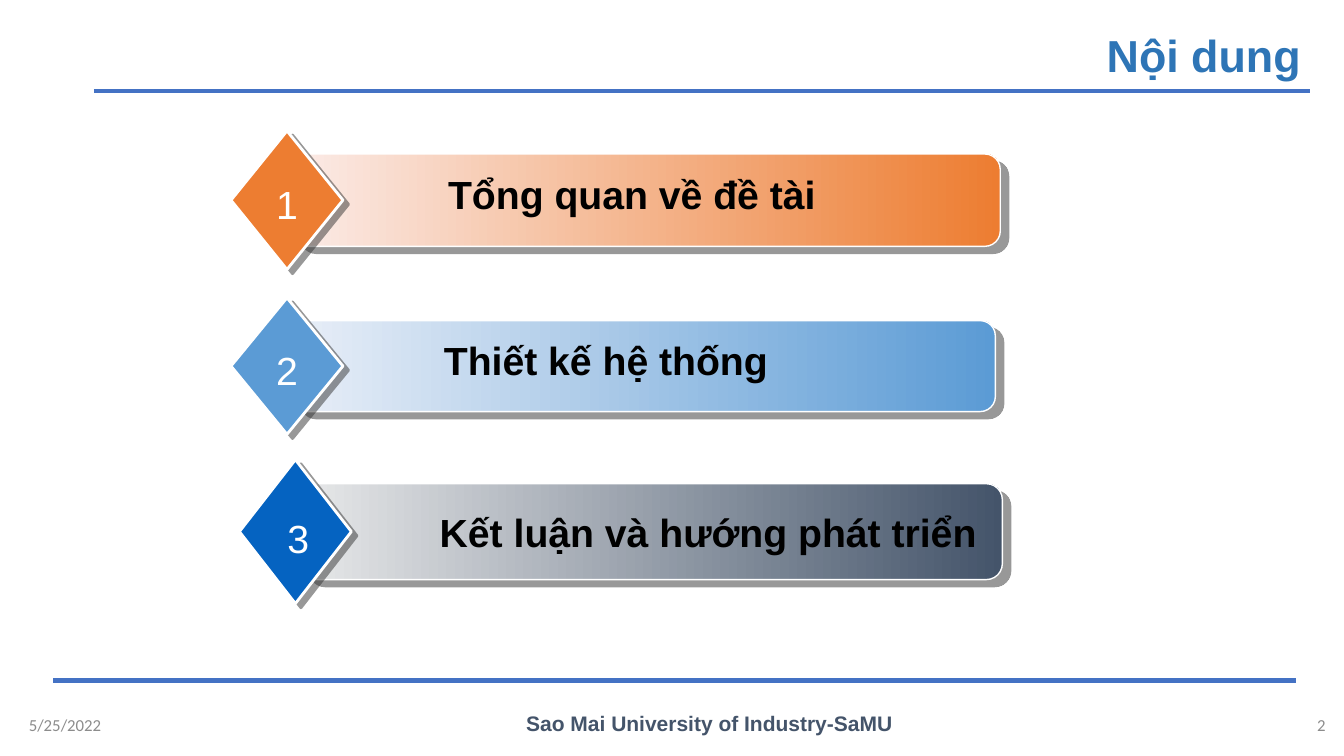
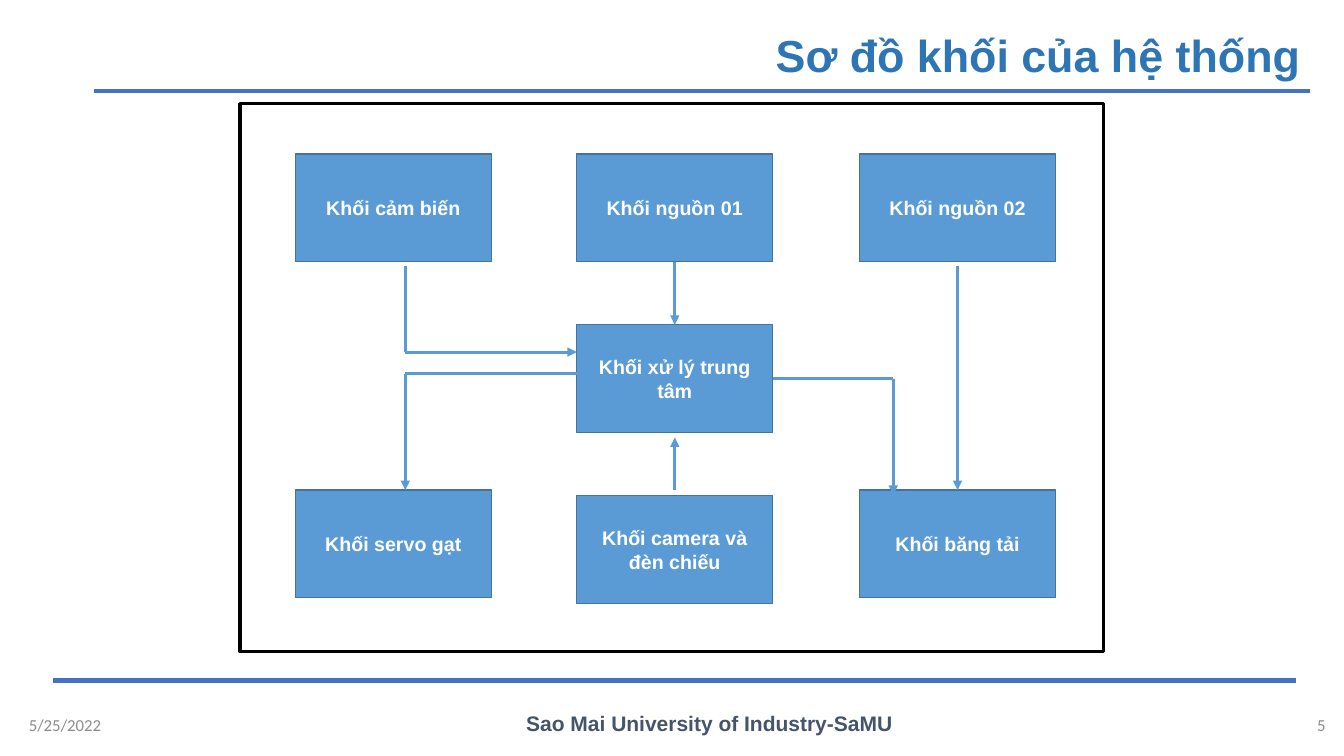
from dataclasses import dataclass

from lxml import etree
from pptx import Presentation
from pptx import util as u
from pptx.dml.color import RGBColor
from pptx.enum import shapes, text
from pptx.oxml import ns

Pt = u.Pt

WHITE = RGBColor(0xFF, 0xFF, 0xFF)
BLACK = RGBColor(0x00, 0x00, 0x00)
SHADOW = RGBColor(0x33, 0x33, 0x33)
GRAY = RGBColor(0x8C, 0x8C, 0x8C)
SLATE = RGBColor(0x44, 0x54, 0x6A)
TITLE_BLUE = RGBColor(0x2E, 0x75, 0xB6)
RULE_BLUE = RGBColor(0x44, 0x72, 0xC4)
BLUE = RGBColor(0x5B, 0x9B, 0xD5)
BLOCK_EDGE = RGBColor(0x43, 0x73, 0x9E)
DEEP_BLUE = RGBColor(0x05, 0x63, 0xC1)
ORANGE = RGBColor(0xED, 0x7D, 0x31)
PALE_ORANGE = RGBColor(0xFB, 0xEB, 0xE7)
PALE_BLUE = RGBColor(0xE8, 0xEE, 0xF7)
PALE_SLATE = RGBColor(0xE7, 0xE8, 0xE9)

LEFT, CENTER, RIGHT = (
    text.PP_ALIGN.LEFT, text.PP_ALIGN.CENTER, text.PP_ALIGN.RIGHT)
TOP, MIDDLE = text.MSO_ANCHOR.TOP, text.MSO_ANCHOR.MIDDLE
DATE = "5/25/2022"
FOOTER = "Sao Mai University of Industry-SaMU"


@dataclass
class AgendaItem:
    """One numbered bar, with offsets measured from the bar's corner."""
    number: str
    label: str
    box: tuple
    pale: RGBColor
    strong: RGBColor
    diamond: RGBColor
    label_offset: tuple
    number_offset: tuple


AGENDA = [
    AgendaItem("1", "Tổng quan về đề tài", (209, 110, 505.5, 66),
               PALE_ORANGE, ORANGE, ORANGE, (104, 8), (-44, 15)),
    AgendaItem("2", "Thiết kế hệ thống", (209, 229, 502, 65),
               PALE_BLUE, BLUE, BLUE, (101, 8), (-44, 15)),
    AgendaItem("3", "Kết luận và hướng phát triển", (215, 345.5, 501, 68.5),
               PALE_SLATE, SLATE, DEEP_BLUE, (92, 14), (-42, 18.5)),
]

BLOCK_SIZE = (140, 77)
COLUMNS = (39.5, 240.5, 442.5)
ROWS = (36, 158, 276)
BLOCKS = {
    "sensor": ("Khối cảm biến", COLUMNS[0], ROWS[0]),
    "power 1": ("Khối nguồn 01", COLUMNS[1], ROWS[0]),
    "power 2": ("Khối nguồn 02", COLUMNS[2], ROWS[0]),
    "processor": ("Khối xử lý trung tâm", COLUMNS[1], ROWS[1]),
    "servo": ("Khối servo gạt", COLUMNS[0], ROWS[2]),
    "camera": ("Khối camera và đèn chiếu", COLUMNS[1], ROWS[2] + 4),
    "conveyor": ("Khối băng tải", COLUMNS[2], ROWS[2]),
}
WIRES = [
    ((310.5, 113), (310.5, 158), True, ("power 1", 2), ("processor", 0)),
    ((512.5, 116), (512.5, 276), True, None, ("conveyor", 0)),
    ((380.5, 196.5), (466.5, 196.5), False, ("processor", 3), None),
    ((466.5, 196.5), (466.5, 279.5), True, None, None),
    ((118, 116), (118, 177.5), False, None, None),
    ((118, 177.5), (240.5, 177.5), True, None, None),
    ((240.5, 193), (118, 193), False, None, None),
    ((118, 193), (118, 276), True, None, None),
    ((310.5, 276), (310.5, 238.5), True, None, None),
]


def points(values):
    """Turn plain numbers into point lengths."""
    return [Pt(value) for value in values]


def write(frame, content, size, color, align=LEFT, bold=False,
          font="Arial", anchor=TOP):
    """Put one formatted run into a text frame."""
    frame.word_wrap = True
    frame.auto_size = text.MSO_AUTO_SIZE.NONE
    frame.vertical_anchor = anchor
    paragraph = frame.paragraphs[0]
    paragraph.alignment = align
    run = paragraph.add_run()
    run.text = content
    run.font.name, run.font.size, run.font.bold = font, Pt(size), bold
    run.font.color.rgb = color


def add_text(slide, box, content, size, color, **style):
    """Add a text box."""
    shape = slide.shapes.add_textbox(*points(box))
    write(shape.text_frame, content, size, color, **style)


def add_box(slide, kind, box, edge, width):
    """Add a preset shape with an outline and no shadow."""
    shape = slide.shapes.add_shape(kind, *points(box))
    shape.shadow.inherit = False
    shape.line.color.rgb = edge
    shape.line.width = Pt(width)
    return shape


def add_line(slide, start, end, color, width, arrow=False):
    """Add a straight connector, with an arrowhead at its end if asked."""
    line = slide.shapes.add_connector(
        shapes.MSO_CONNECTOR.STRAIGHT, *points(start + end))
    line.line.color.rgb = color
    line.line.width = Pt(width)
    properties = line.element.spPr
    if arrow:
        outline = properties.find(ns.qn("a:ln"))
        etree.SubElement(outline, ns.qn("a:tailEnd"), type="triangle")
    etree.SubElement(properties, ns.qn("a:effectLst"))
    return line


def cast_shadow(shape, distance, angle):
    """Give a shape a hard, half-transparent shadow."""
    effects = shape.element.spPr.find(ns.qn("a:effectLst"))
    shadow = etree.SubElement(
        effects, ns.qn("a:outerShdw"), blurRad="0", dist=str(Pt(distance)),
        dir=str(angle * 60000), algn="ctr", rotWithShape="0")
    color = etree.SubElement(shadow, ns.qn("a:srgbClr"), val=str(SHADOW))
    etree.SubElement(color, ns.qn("a:alpha"), val="50000")


def add_slide(presentation, title, number):
    """Add a slide with its title, rules and footer."""
    slide = presentation.slides.add_slide(presentation.slide_layouts[5])
    heading = slide.shapes.title
    heading.left, heading.top, heading.width, heading.height = points(
        (336.5, 16.5, 600, 46))
    write(heading.text_frame, title, 32, TITLE_BLUE, align=RIGHT, bold=True)
    add_line(slide, (38, 486), (926, 486), RULE_BLUE, 3)
    add_line(slide, (67, 65), (936, 65), RULE_BLUE, 3)
    add_text(slide, (13.5, 506, 83.5, 24), DATE, 12, GRAY,
             font="Calibri", anchor=MIDDLE)
    add_text(slide, (286.5, 502, 440.5, 29), FOOTER, 15, SLATE,
             align=CENTER, bold=True, anchor=MIDDLE)
    add_text(slide, (898, 506, 56, 23), number, 12, GRAY,
             align=RIGHT, font="Calibri", anchor=MIDDLE)
    return slide


def add_agenda_item(slide, item):
    """Draw a gradient bar with its diamond, number and label."""
    left, top, width, height = item.box
    bar = add_box(slide, shapes.MSO_SHAPE.ROUNDED_RECTANGLE,
                  item.box, WHITE, 1)
    bar.fill.gradient()
    bar.fill.gradient_angle = 0
    for stop, color in zip(bar.fill.gradient_stops, (item.pale, item.strong)):
        stop.color.rgb = color
    cast_shadow(bar, 7.8, 40)

    diamond = add_box(slide, shapes.MSO_SHAPE.DIAMOND,
                      (left - 44, top - height / 4, 80, height * 1.5),
                      WHITE, 2)
    diamond.fill.solid()
    diamond.fill.fore_color.rgb = item.diamond
    cast_shadow(diamond, 5, 37)

    across, down = item.label_offset
    add_text(slide, (left + across, top + down, width - across, 41),
             item.label, 28, BLACK, bold=True)
    across, down = item.number_offset
    add_text(slide, (left + across, top + down, 80, 41),
             item.number, 28, WHITE, align=CENTER)


def add_block_diagram(slide, left, top, width, height):
    """Draw the blocks, their wires and the frame around them."""
    blocks = {}
    for name, (label, across, down) in BLOCKS.items():
        block = add_box(slide, shapes.MSO_SHAPE.RECTANGLE,
                        (left + across, top + down) + BLOCK_SIZE,
                        BLOCK_EDGE, 1)
        block.fill.solid()
        block.fill.fore_color.rgb = BLUE
        write(block.text_frame, label, 14, WHITE,
              align=CENTER, bold=True, anchor=MIDDLE)
        blocks[name] = block

    for start, end, arrow, source, target in WIRES:
        wire = add_line(slide, (left + start[0], top + start[1]),
                        (left + end[0], top + end[1]), BLUE, 2.25, arrow)
        if source:
            wire.begin_connect(blocks[source[0]], source[1])
        if target:
            wire.end_connect(blocks[target[0]], target[1])

    frame = add_box(slide, shapes.MSO_SHAPE.RECTANGLE,
                    (left, top, width, height), BLACK, 2.25)
    frame.fill.background()


def main():
    """Build and save the presentation."""
    presentation = Presentation()
    presentation.slide_width, presentation.slide_height = Pt(960), Pt(540)

    agenda = add_slide(presentation, "Nội dung", "2")
    for item in AGENDA:
        add_agenda_item(agenda, item)

    diagram = add_slide(presentation, "Sơ đồ khối của hệ thống", "5")
    add_block_diagram(diagram, 171.5, 74, 617, 391.5)

    presentation.save("out.pptx")


if __name__ == "__main__":
    main()
